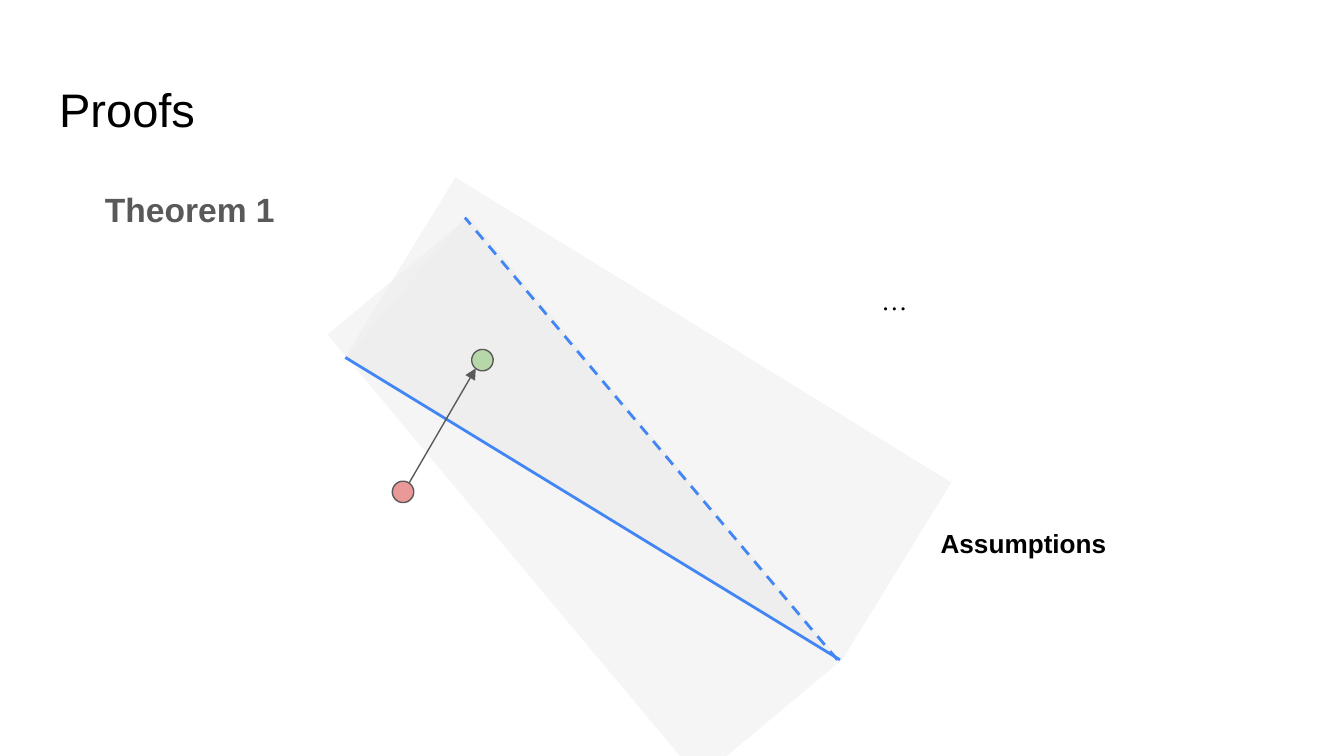
import pptx
import pptx.util
import pptx.dml.color
import pptx.enum.dml
import pptx.enum.shapes
import pptx.enum.text
import pptx.oxml.ns
import lxml.etree

Pt = pptx.util.Pt
qn = pptx.oxml.ns.qn
Kind = pptx.enum.shapes.MSO_SHAPE
Sub = lxml.etree.SubElement

theme = {
    "band": "EEEEEE", "edge": "4285F4", "dark": "595959", "ink": "000000",
    "red": "EA9999", "green": "B6D7A8", "opaque": "59000",
    "head": 25.2, "lead": 18, "note": 14,
    "sans": "Arial", "serif": "Times New Roman",
}


def tint(name):
    return pptx.dml.color.RGBColor.from_string(theme[name])


def write(box, place, text, size, color="ink", face="sans", bold=False, space=None):
    box.left, box.top, box.width, box.height = [Pt(n) for n in place]
    frame = box.text_frame
    frame.word_wrap = True
    frame.margin_left = frame.margin_right = Pt(7.2)
    frame.margin_top = frame.margin_bottom = Pt(7.2)
    frame.vertical_anchor = pptx.enum.text.MSO_ANCHOR.TOP
    para = frame.paragraphs[0]
    para.alignment = pptx.enum.text.PP_ALIGN.LEFT
    para.space_before = Pt(0)
    if space:
        para.line_spacing = space
    run = para.add_run()
    run.text = text
    run.font.size = Pt(theme[size])
    run.font.name = theme[face]
    run.font.bold = bold
    run.font.color.rgb = tint(color)
    return para


deck = pptx.Presentation()
deck.slide_width, deck.slide_height = Pt(720), Pt(405)
slide = deck.slides.add_slide(deck.slide_layouts[1])
shapes = slide.shapes

title, body = slide.placeholders
write(title, (24.5, 35.3, 671, 45.4), "Proofs", "head")
title.text_frame.vertical_anchor = pptx.enum.text.MSO_ANCHOR.BOTTOM
lead = write(body, (49, 90.7, 671, 269.3), "Theorem 1", "lead", "dark", bold=True, space=1.15)
lead.space_after = Pt(12)
props = lead._p.get_or_add_pPr()
props.set("marL", "0")
props.set("indent", "0")
Sub(props, qn("a:buNone"))

bands = [
    (Kind.ISOSCELES_TRIANGLE, 284.4, 100.1, 98.6, 305.3, 130.2),
    (Kind.RECTANGLE, 157.7, 217.4, 310.3, 98.6, 50.1),
    (Kind.RECTANGLE, 191.5, 168.5, 311.8, 112.3, 31.6),
]
for kind, x, y, wide, high, turn in bands:
    band = shapes.add_shape(kind, Pt(x), Pt(y), Pt(wide), Pt(high))
    band.rotation = turn
    band.shadow.inherit = False
    band.fill.solid()
    band.fill.fore_color.rgb = tint("band")
    shade = band._element.spPr.find(qn("a:solidFill"))[0]
    Sub(shade, qn("a:alpha"), val=theme["opaque"])
    band.line.fill.background()
    if kind == Kind.ISOSCELES_TRIANGLE:
        band.adjustments[0] = 0.53

lines = [
    (450, 353.5, 185, 191.5, "edge", 1.5, "solid"),
    (448.6, 353.5, 249.1, 116.6, "edge", 1.5, "dash"),
    (218.9, 259.2, 254.9, 197.3, "dark", 0.75, "arrow"),
]
for x1, y1, x2, y2, color, weight, style in lines:
    line = shapes.add_connector(
        pptx.enum.shapes.MSO_CONNECTOR.STRAIGHT, Pt(x1), Pt(y1), Pt(x2), Pt(y2))
    line.line.color.rgb = tint(color)
    line.line.width = Pt(weight)
    if style == "dash":
        line.line.dash_style = pptx.enum.dml.MSO_LINE.DASH
    if style == "arrow":
        Sub(line.line._get_or_add_ln(), qn("a:tailEnd"), type="triangle")
    Sub(line._element.spPr, qn("a:effectLst"))

dots = [(210.2, 257.8, 351.1, "red"), (252.7, 187.2, 308.5, "green")]
for x, y, turn, color in dots:
    dot = shapes.add_shape(Kind.OVAL, Pt(x), Pt(y), Pt(11.5), Pt(11.5))
    dot.rotation = turn
    dot.shadow.inherit = False
    dot.fill.solid()
    dot.fill.fore_color.rgb = tint(color)
    dot.line.color.rgb = tint("dark")
    dot.line.width = Pt(0.75)

notes = [
    ((465.1, 145.4, 31.7, 31.7), "…", "serif", False, None),
    ((496.8, 272.9, 110.2, 31.7), "Assumptions", "sans", True, 1.15),
]
for place, text, face, bold, space in notes:
    box = shapes.add_textbox(0, 0, 0, 0)
    write(box, place, text, "note", face=face, bold=bold, space=space)
    box.text_frame.auto_size = pptx.enum.text.MSO_AUTO_SIZE.SHAPE_TO_FIT_TEXT

deck.save("out.pptx")
